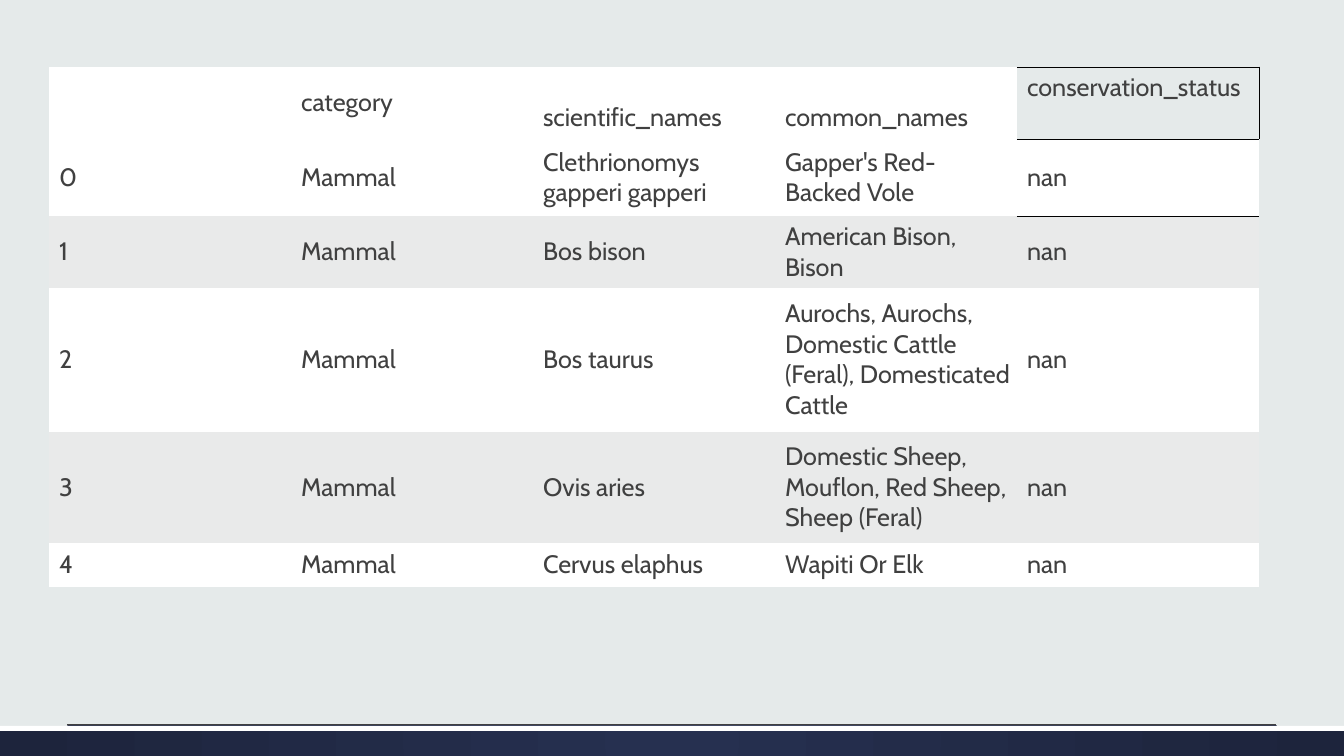
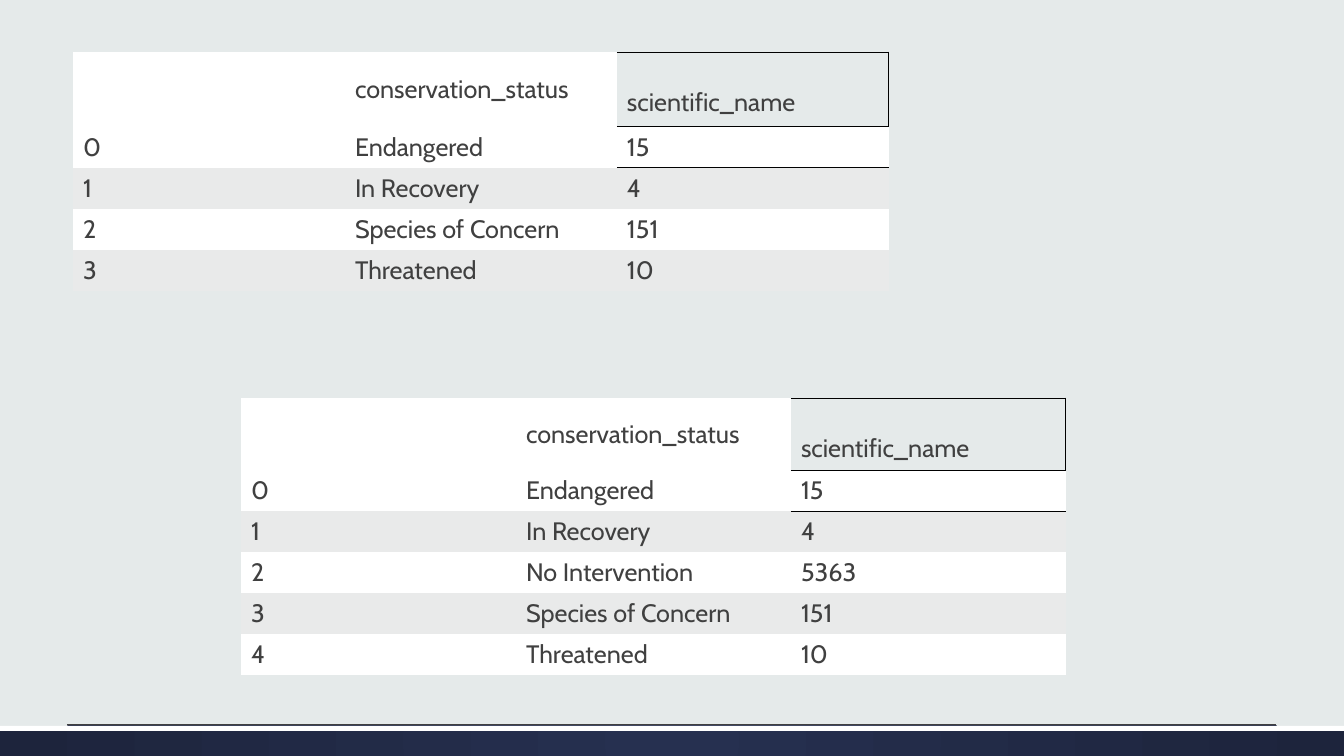
from lxml import etree
from pptx import Presentation
from pptx.dml.color import RGBColor
from pptx.enum.shapes import MSO_CONNECTOR as CONN, MSO_SHAPE as SHAPE
from pptx.enum.text import MSO_ANCHOR as ANCHOR
from pptx.oxml import parse_xml
from pptx.oxml.ns import nsdecls, qn
from pptx.util import Pt

W, H = 1344, 756
SCALE = 914400 * 10 / 1008
FONT = "Cabin"
PAPER, WHITE, STRIPE, INK, BLACK = "E5EAEA", "FFFFFF", "E9EAEA", "404040", "000000"
NAVY = ("263050", "1D243C")
PLAIN_STYLE = "{2D5ABB26-0587-4C30-8999-92F81FD0307C}"
LOW = 35  # top margin of header text that sits on the second line

SPECIES = dict(
    at=(49, 67), col_width=242, row_heights=[72, 77, 71, 144, 111, 44],
    low_headers=(2, 3),
    rows=[
        ("", "category", "scientific_names", "common_names", "conservation_status"),
        ("0", "Mammal", "Clethrionomys gapperi gapperi", "Gapper's Red-Backed Vole", "nan"),
        ("1", "Mammal", "Bos bison", "American Bison, Bison", "nan"),
        ("2", "Mammal", "Bos taurus",
         "Aurochs, Aurochs, Domestic Cattle (Feral), Domesticated Cattle", "nan"),
        ("3", "Mammal", "Ovis aries",
         "Domestic Sheep, Mouflon, Red Sheep, Sheep (Feral)", "nan"),
        ("4", "Mammal", "Cervus elaphus", "Wapiti Or Elk", "nan"),
    ])

STATUS_COUNTS = dict(
    at=(73, 52), col_width=272, row_heights=[75] + [41] * 4,
    low_headers=(2,),
    rows=[
        ("", "conservation_status", "scientific_name"),
        ("0", "Endangered", "15"),
        ("1", "In Recovery", "4"),
        ("2", "Species of Concern", "151"),
        ("3", "Threatened", "10"),
    ])

ALL_COUNTS = dict(
    at=(241, 398), col_width=275, row_heights=[72] + [41] * 5,
    low_headers=(2,),
    rows=[
        ("", "conservation_status", "scientific_name"),
        ("0", "Endangered", "15"),
        ("1", "In Recovery", "4"),
        ("2", "No Intervention", "5363"),
        ("3", "Species of Concern", "151"),
        ("4", "Threatened", "10"),
    ])

SLIDES = [[SPECIES], [STATUS_COUNTS, ALL_COUNTS]]


def px(n):
    return round(n * SCALE)


def rgb(color):
    return RGBColor.from_string(color)


def fill_solid(fill, color):
    fill.solid()
    fill.fore_color.rgb = rgb(color)


def add_rect(s, *box):
    sp = s.shapes.add_shape(SHAPE.RECTANGLE, *map(px, box))
    sp.shadow.inherit = False
    sp.line.fill.background()
    return sp


def fill_radial(fill, colors):
    fill.gradient()
    for stop, color in zip(fill.gradient_stops, colors):
        stop.color.rgb = rgb(color)


def add_base(s):
    """Background, footer band and the rule above it."""
    fill_solid(s.background.fill, PAPER)
    band = add_rect(s, 0, 726, W, 30)
    fill_radial(band.fill, NAVY)
    lin = band._element.spPr.find(".//" + qn("a:lin"))
    lin.getparent().replace(lin, parse_xml(
        f'<a:path {nsdecls("a")} path="circle">'
        '<a:fillToRect l="50000" t="50000" r="50000" b="50000"/></a:path>'))
    fill_solid(add_rect(s, 0, 726, W, 5).fill, WHITE)
    rule = s.shapes.add_connector(CONN.STRAIGHT, *map(px, (67, 725, 1276, 725)))
    rule.line.color.rgb = rgb(INK)
    rule.line.width = Pt(0.75)
    etree.SubElement(rule._element.spPr, qn("a:effectLst"))


def add_borders(cell, sides, color):
    tcPr = cell._tc.get_or_add_tcPr()
    for i, side in enumerate(sides):
        tcPr.insert(i, parse_xml(
            f'<a:ln{side} {nsdecls("a")} w="9525"><a:solidFill>'
            f'<a:srgbClr val="{color}"/></a:solidFill></a:ln{side}>'))


def write_cell(cell, text):
    cell.vertical_anchor = ANCHOR.MIDDLE
    cell.margin_right = px(6)
    p = cell.text_frame.paragraphs[0]
    p.font.size = Pt(18)
    if text:
        r = p.add_run()
        r.text = text
        for name, value in dict(name=FONT, size=Pt(18), bold=False).items():
            setattr(r.font, name, value)
        r.font.color.rgb = rgb(INK)


def add_data_table(s, at, col_width, row_heights, low_headers, rows):
    n = len(rows[0])
    size = (col_width * n, sum(row_heights))
    tbl = s.shapes.add_table(len(rows), n, *map(px, at + size)).table
    tbl.first_row = tbl.horz_banding = False
    tbl._tbl.tblPr.find(qn("a:tableStyleId")).text = PLAIN_STYLE
    for col in tbl.columns:
        col.width = px(col_width)
    for i, (height, texts) in enumerate(zip(row_heights, rows)):
        tbl.rows[i].height = px(height)
        for j, text in enumerate(texts):
            cell = tbl.cell(i, j)
            write_cell(cell, text)
            outlined = i == 0 and j == n - 1
            low = i == 0 and j in low_headers
            if outlined or low:
                cell.vertical_anchor = ANCHOR.TOP
            if low:
                cell.margin_top = px(LOW)
            if outlined:
                cell.fill.background()
                add_borders(cell, "RTB", BLACK)
            else:
                fill_solid(cell.fill, STRIPE if i and i % 2 == 0 else WHITE)
    for cell in list(tbl.iter_cells())[2 * n - 1:2 * n]:
        add_borders(cell, "T", BLACK)


def main():
    prs = Presentation()
    prs.slide_width, prs.slide_height = px(W), px(H)
    for tables in SLIDES:
        s = prs.slides.add_slide(prs.slide_layouts[6])
        add_base(s)
        for table in tables:
            add_data_table(s, **table)
    prs.save("out.pptx")


if __name__ == "__main__":
    main()
